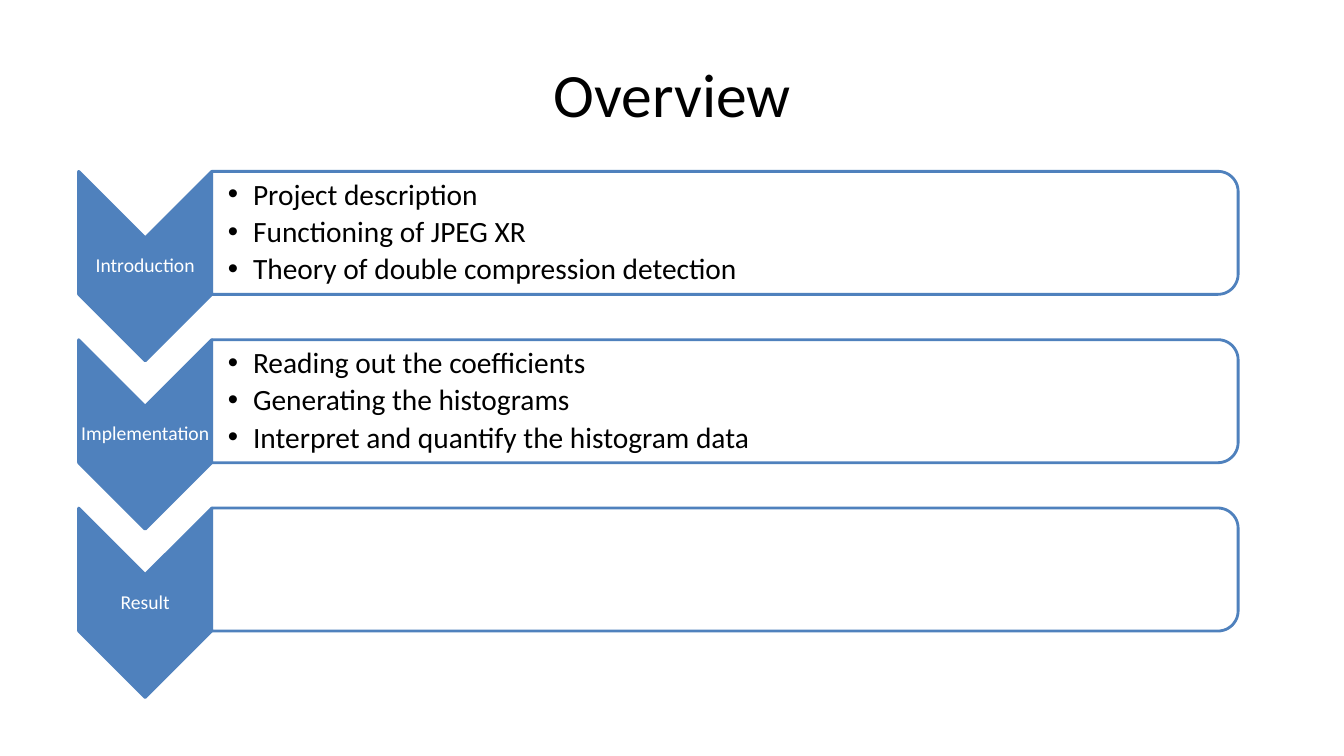
import math

import pptx
import pptx.dml.color
import pptx.enum.text
import pptx.oxml
import pptx.oxml.ns
import pptx.util

Inches = pptx.util.Inches
Pt = pptx.util.Pt
ALIGN = pptx.enum.text.PP_ALIGN
MIDDLE = pptx.enum.text.MSO_ANCHOR.MIDDLE

COLORS = {"blue": "4F81BD", "white": "FFFFFF", "black": "000000"}

TITLE = "Overview"
SECTIONS = [
    ("Introduction", ["Project description", "Functioning of JPEG XR",
                      "Theory of double compression detection"]),
    ("Implementation", ["Reading out the coefficients", "Generating the histograms",
                        "Interpret and quantify the histogram data"]),
    ("Result", []),
]

LEFT, TOP, PITCH = Inches(0.78), Inches(1.7), Inches(1.67)
CHEVRON_W, CHEVRON_H = Inches(1.32), Inches(1.88)
PANEL_W, PANEL_H = Inches(10.18), Inches(1.22)
CORNER = Inches(0.2)

CHEVRON_FRAME = {"margin_left": Inches(0.01), "margin_right": Inches(0.01),
                 "margin_top": Inches(0.67), "margin_bottom": Inches(0.67),
                 "vertical_anchor": MIDDLE, "word_wrap": True}
PANEL_FRAME = {"margin_left": Inches(0.16), "margin_right": Inches(0.07),
               "margin_top": Inches(0.07), "margin_bottom": Inches(0.07),
               "vertical_anchor": MIDDLE, "word_wrap": True}
LABEL_PARAGRAPH = {"alignment": ALIGN.CENTER, "line_spacing": 0.9, "space_after": Pt(6)}
BULLET_PARAGRAPH = {"alignment": ALIGN.LEFT, "line_spacing": 0.9, "space_after": Pt(4),
                    "level": 1}


def rgb(name):
    return pptx.dml.color.RGBColor.from_string(COLORS[name])


def set_all(target, values):
    for name, value in values.items():
        setattr(target, name, value)


def add_run(p, text, size, color):
    r = p.add_run()
    r.text = text
    set_all(r.font, {"name": "Calibri", "size": Pt(size)})
    r.font.color.rgb = rgb(color)


def add_bullet(p):
    pPr = p._p.get_or_add_pPr()
    pPr.set("marL", str(Inches(0.25)))
    pPr.set("indent", str(-Inches(0.25)))
    ns = pptx.oxml.ns.nsdecls("a")
    for xml in (f'<a:buClr {ns}><a:srgbClr val="{COLORS["black"]}"/></a:buClr>',
                f'<a:buFont {ns} typeface="Arial"/>',
                f'<a:buChar {ns} char="•"/>'):
        pPr.append(pptx.oxml.parse_xml(xml))


def add_outline(slide, points, fill):
    """Draw a closed, blue-edged polygon through points given in EMU."""
    builder = slide.shapes.build_freeform(*points[0])
    builder.add_line_segments(points[1:], close=True)
    sp = builder.convert_to_shape()
    sp.shadow.inherit = False
    sp.fill.solid()
    sp.fill.fore_color.rgb = rgb(fill)
    sp.line.color.rgb = rgb("blue")
    sp.line.width = Pt(2)
    return sp


def add_title(slide, left, top, width, height):
    sp = slide.shapes.title
    set_all(sp, {"left": left, "top": top, "width": width, "height": height})
    tf = sp.text_frame
    tf.vertical_anchor = MIDDLE
    p = tf.paragraphs[0]
    p.alignment = ALIGN.CENTER
    add_run(p, TITLE, 44, "black")


def add_chevron(slide, label, left, top, width, height):
    notch = width // 2
    right, bottom = left + width, top + height
    sp = add_outline(slide, [(right, top), (right, bottom - notch), (left + notch, bottom),
                             (left, bottom - notch), (left, top),
                             (left + notch, top + notch)], "blue")
    tf = sp.text_frame
    set_all(tf, CHEVRON_FRAME)
    p = tf.paragraphs[0]
    set_all(p, LABEL_PARAGRAPH)
    add_run(p, label, 14, "white")


def add_panel(slide, items, left, top, width, height):
    """Place a panel with rounded right corners and a bulleted list."""
    points = [(left, top)]
    center_x = left + width - CORNER
    for center_y, start in ((top + CORNER, -90), (top + height - CORNER, 0)):
        for step in range(0, 91, 6):
            angle = math.radians(start + step)
            points.append((round(center_x + CORNER * math.cos(angle)),
                           round(center_y + CORNER * math.sin(angle))))
    points.append((left, top + height))
    sp = add_outline(slide, points, "white")
    color = sp.fill._xPr.find(".//" + pptx.oxml.ns.qn("a:srgbClr"))
    ns = pptx.oxml.ns.nsdecls("a")
    color.append(pptx.oxml.parse_xml(f'<a:alpha {ns} val="90000"/>'))
    tf = sp.text_frame
    set_all(tf, PANEL_FRAME)
    for i, item in enumerate(items):
        p = tf.add_paragraph() if i else tf.paragraphs[0]
        set_all(p, BULLET_PARAGRAPH)
        add_bullet(p)
        add_run(p, item, 21, "black")


def add_overview(prs):
    slide = prs.slides.add_slide(prs.slide_layouts[5])
    add_title(slide, Inches(0.67), Inches(0.3), Inches(12), Inches(1.25))
    for i, (label, items) in enumerate(SECTIONS):
        top = TOP + i * PITCH
        add_chevron(slide, label, LEFT, top, CHEVRON_W, CHEVRON_H)
        add_panel(slide, items, LEFT + CHEVRON_W, top, PANEL_W, PANEL_H)


def main():
    prs = pptx.Presentation()
    prs.slide_width, prs.slide_height = Inches(13.33), Inches(7.5)
    add_overview(prs)
    prs.save("out.pptx")


if __name__ == "__main__":
    main()
